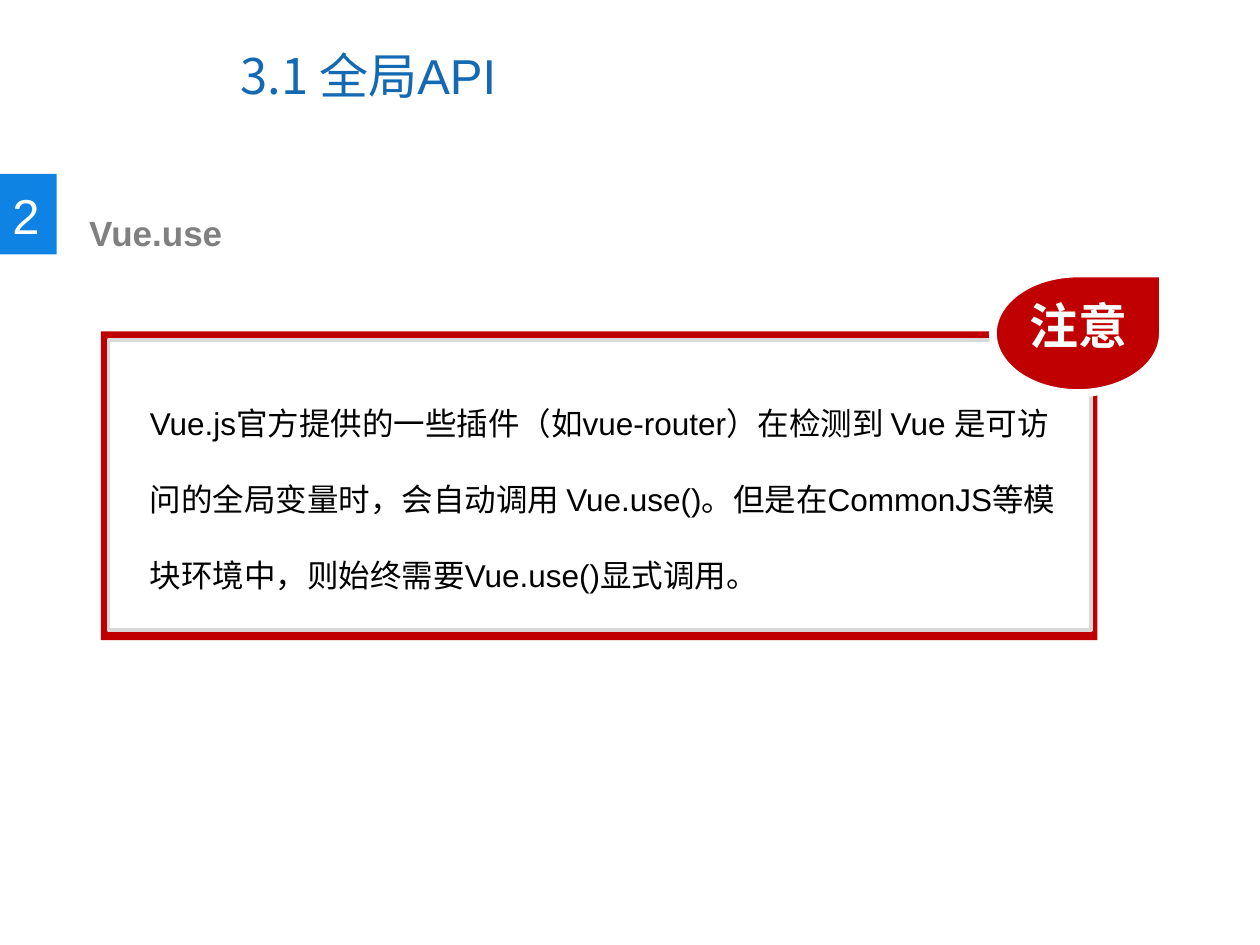
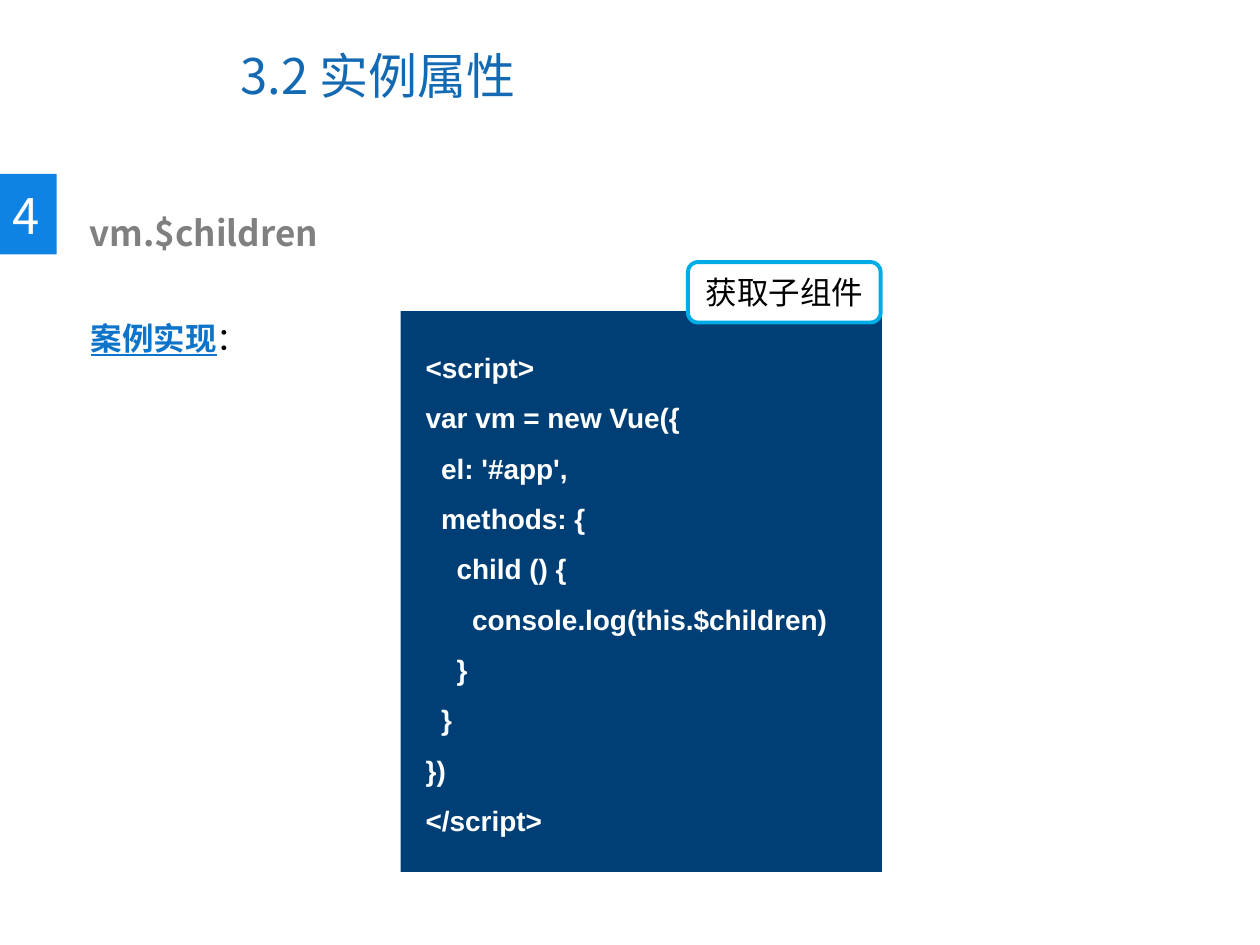
from lxml import etree
from pptx import Presentation
from pptx.dml.color import RGBColor
from pptx.enum import shapes, text
from pptx.oxml.ns import qn
from pptx.util import Inches, Pt

LATIN, CJK = "Arial", "Noto Sans CJK SC"
WHITE, BLACK, GREY, RED = "FFFFFF", "000000", "808080", "C00000"
TITLE_BLUE, BADGE_BLUE, LINK_BLUE, NAVY, CYAN = "1369B2", "0F83E3", "0D74C9", "003F75", "00ACE6"

BODY = {"name": LATIN, "size": 18, "color": BLACK}
TITLE = {"name": CJK, "size": 28, "color": TITLE_BLUE}
HEADING = {"name": LATIN, "size": 20, "color": GREY, "bold": True}
BADGE = {"name": LATIN, "size": 28, "color": WHITE}
NOTE = {"name": CJK, "size": 28, "color": WHITE, "bold": True}
LINK = {**BODY, "color": LINK_BLUE, "bold": True, "underline": True}
CODE = {"name": LATIN, "size": 16, "color": WHITE, "bold": True}

USE = {
    "title": [("3.1 ", TITLE), ("全局API", {**TITLE, "name": LATIN})],
    "number": ("2", BADGE),
    "heading": ("Vue.use", HEADING),
}
USE_NOTE = (
    "Vue.js官方提供的一些插件（如vue-router）在检测到 Vue 是可访问的全局变量时，"
    "会自动调用 Vue.use()。但是在CommonJS等模块环境中，则始终需要Vue.use()显式调用。"
)
CHILDREN = {
    "title": [("3.2 实例属性", TITLE)],
    "number": ("4", {**BADGE, "name": CJK}),
    "heading": ("vm.$children", {**HEADING, "name": CJK}),
}
CHILDREN_CODE = """<script>
var vm = new Vue({
  el: '#app',
  methods: {
    child () {
      console.log(this.$children)
    }
  }
})
</script>"""


def rgb(value):
    """Turn a hex string into a colour."""
    return RGBColor.from_string(value)


def write(frame, paragraphs, spacing=None, align=text.PP_ALIGN.LEFT):
    """Fill a text frame with paragraphs, each a list of (words, format) runs."""
    for index, runs in enumerate(paragraphs):
        paragraph = frame.paragraphs[0] if index == 0 else frame.add_paragraph()
        paragraph.alignment = align
        if spacing:
            paragraph.line_spacing = spacing
        for words, style in runs:
            run = paragraph.add_run()
            run.text = words
            for key, value in style.items():
                if key == "color":
                    run.font.color.rgb = rgb(value)
                else:
                    setattr(run.font, key, Pt(value) if key == "size" else value)
            etree.SubElement(run.font._element, qn("a:ea")).set("typeface", CJK)


def add_text(slide, box, paragraphs, spacing=None, wrap=True):
    """Add a text box at box (left, top, width, height)."""
    frame = slide.shapes.add_textbox(*map(Inches, box)).text_frame
    frame.word_wrap = wrap
    write(frame, paragraphs, spacing)


def add_block(slide, kind, box, fill, line=None, weight=0):
    """Add a flat preset shape with an optional outline."""
    shape = slide.shapes.add_shape(kind, *map(Inches, box))
    shape.shadow.inherit = False
    shape.fill.solid()
    shape.fill.fore_color.rgb = rgb(fill)
    if line:
        shape.line.color.rgb = rgb(line)
        shape.line.width = Pt(weight)
    else:
        shape.line.fill.background()
    return shape


def add_section(presentation, content):
    """Add a slide with its title, numbered badge and heading."""
    slide = presentation.slides.add_slide(presentation.slide_layouts[5])
    title = slide.shapes.title
    for side, value in zip(("left", "top", "width", "height"), (1.81, 0.17, 5.16, 0.85)):
        setattr(title, side, Inches(value))
    title.text_frame.auto_size = text.MSO_AUTO_SIZE.NONE
    title.text_frame.vertical_anchor = text.MSO_ANCHOR.MIDDLE
    write(title.text_frame, [content["title"]])
    add_block(slide, shapes.MSO_SHAPE.RECTANGLE, (0, 1.38, 0.45, 0.64), BADGE_BLUE)
    add_text(slide, (0, 1.42, 0.42, 0.57), [[content["number"]]], wrap=False)
    add_text(slide, (0.61, 1.63, 5, 0.44), [[content["heading"]]])
    return slide


def build_use(presentation):
    """Build the slide with the framed note on Vue.use."""
    slide = add_section(presentation, USE)
    add_block(slide, shapes.MSO_SHAPE.RECTANGLE, (0.8, 2.63, 7.91, 2.45), RED)
    add_block(slide, shapes.MSO_SHAPE.RECTANGLE, (0.86, 2.7, 7.8, 2.3), WHITE, "D9D9D9", 2)
    add_block(slide, shapes.MSO_SHAPE.TEAR, (7.88, 2.17, 1.35, 0.95), RED, WHITE, 4.5)
    add_text(slide, (8.07, 2.3, 0.99, 0.57), [[("注意", NOTE)]], wrap=False)
    add_text(slide, (1.09, 2.86, 7.48, 1.92), [[(USE_NOTE, BODY)]], spacing=2.0)


def build_children(presentation):
    """Build the slide with the code panel for vm.$children."""
    slide = add_section(presentation, CHILDREN)
    add_text(slide, (0.62, 2.18, 8.65, 0.71), [[("案例实现", LINK), ("：", BODY)]], spacing=2.0)
    add_block(slide, shapes.MSO_SHAPE.RECTANGLE, (3.18, 2.47, 3.82, 4.45), NAVY)
    code = [[(line, CODE)] for line in CHILDREN_CODE.splitlines()]
    add_text(slide, (3.28, 2.6, 3.78, 3.66), code, spacing=1.5)
    label = add_block(
        slide, shapes.MSO_SHAPE.ROUNDED_RECTANGLE, (5.46, 2.08, 1.53, 0.48), WHITE, CYAN, 2.25
    )
    label.text_frame.vertical_anchor = text.MSO_ANCHOR.MIDDLE
    write(label.text_frame, [[("获取子组件", BODY)]], align=text.PP_ALIGN.CENTER)


def main():
    """Build and save the presentation."""
    presentation = Presentation()
    presentation.slide_width, presentation.slide_height = Inches(10), Inches(7.5)
    build_use(presentation)
    build_children(presentation)
    presentation.save("out.pptx")


if __name__ == "__main__":
    main()
